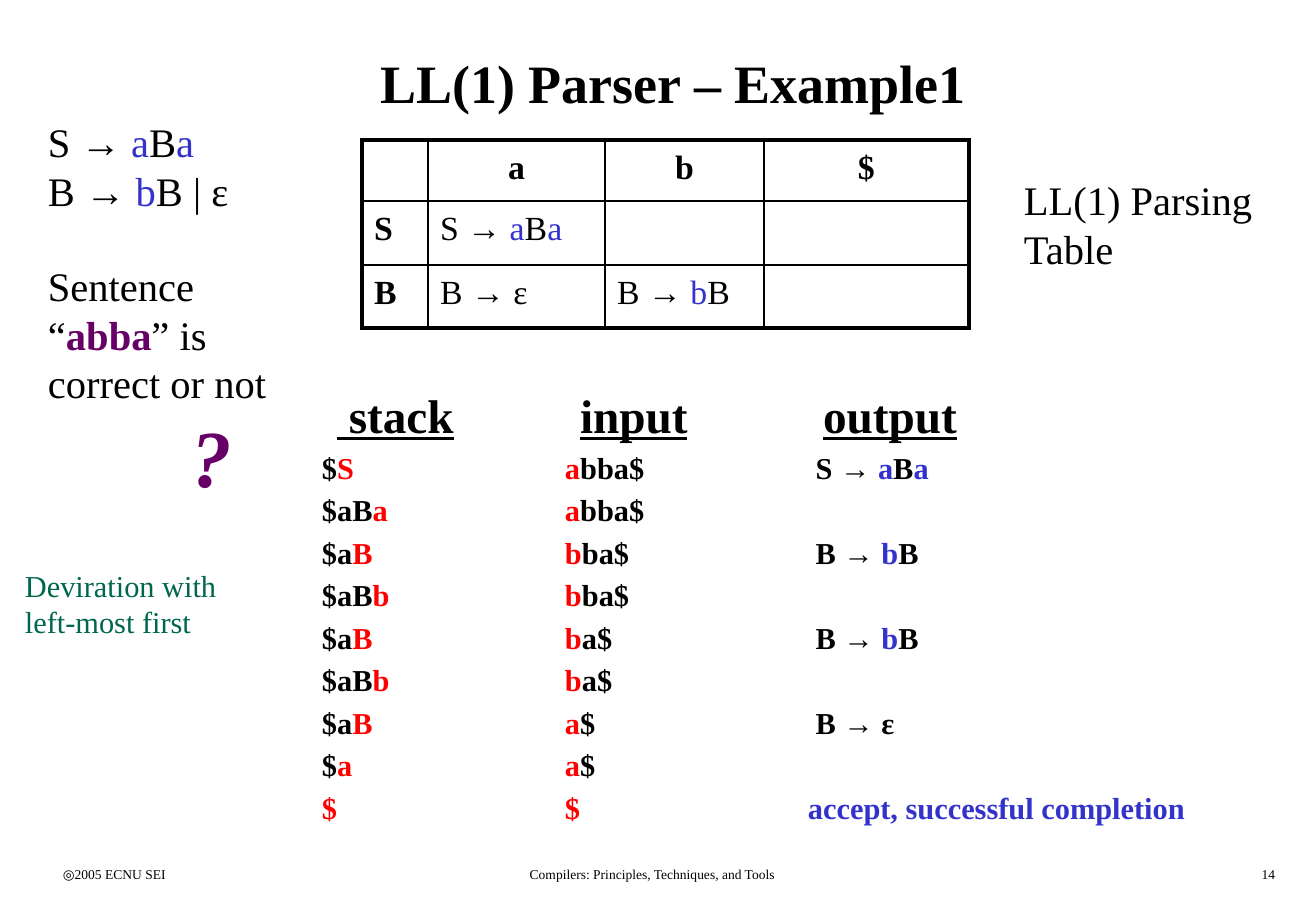
from itertools import groupby

from lxml import etree
from pptx import Presentation
from pptx.dml.color import RGBColor
from pptx.enum.text import MSO_ANCHOR, PP_ALIGN
from pptx.oxml.ns import qn
from pptx.util import Emu, Pt

LEFT, CENTER, RIGHT = PP_ALIGN.LEFT, PP_ALIGN.CENTER, PP_ALIGN.RIGHT
MIDDLE = MSO_ANCHOR.MIDDLE
SCALE = 914400 / 121.5
FONT = "Times New Roman"
LINE = 1.2
COLORS = {
    "black": "000000",
    "terminal": "3333CC",
    "active": "FF0000",
    "purple": "660066",
    "green": "00664D",
}
TABLE_COLS = [66, 177, 159, 205]
TABLE_ROWS = [61, 64, 63]
PARSING_TABLE = [
    ["", "a", "b", "$"],
    ["S", "S → aBa", "", ""],
    ["B", "B → ε", "B → bB", ""],
]
TRACE = [
    ("$", "S", "a", "bba$", "S → aBa"),
    ("$aB", "a", "a", "bba$", ""),
    ("$a", "B", "b", "ba$", "B → bB"),
    ("$aB", "b", "b", "ba$", ""),
    ("$a", "B", "b", "a$", "B → bB"),
    ("$aB", "b", "b", "a$", ""),
    ("$a", "B", "a", "$", "B → ε"),
    ("$", "a", "a", "$", ""),
]
COLUMN_START, COLUMN_STEP, HEADER_SHIFT = 274, 243, 15


def px(n):
    return Emu(round(n * SCALE))


def production(text):
    return [
        ("".join(chars), "terminal" if is_terminal else "black")
        for is_terminal, chars in groupby(text, lambda c: c in "ab")
    ]


def add_run(p, text, size, color="black", bold=False, italic=False, underline=False):
    r = p.add_run()
    r.text = text
    r.font.name = FONT
    r.font.size = Pt(size)
    r.font.bold = bold
    r.font.italic = italic
    r.font.underline = underline
    r.font.color.rgb = RGBColor.from_string(COLORS[color])


def fill_paragraph(p, runs, size, align=LEFT, bold=False):
    p.alignment = align
    p.line_spacing = Pt(size * LINE)
    for text, color, *style in runs:
        add_run(p, text, size, color, bold or "b" in style, "i" in style, "u" in style)


def next_paragraph(tf, index):
    return tf.add_paragraph() if index else tf.paragraphs[0]


def add_text(s, box, size, paragraphs, align=LEFT):
    tf = s.shapes.add_textbox(*map(px, box)).text_frame
    tf.word_wrap = True
    for i, runs in enumerate(paragraphs):
        fill_paragraph(next_paragraph(tf, i), runs, size, align)


def add_title(s, text):
    title = s.shapes.title
    title.left, title.top, title.width, title.height = map(px, (51, 21, 1245, 122))
    tf = title.text_frame
    tf.vertical_anchor = MIDDLE
    fill_paragraph(tf.paragraphs[0], [(text, "black")], 32, CENTER, True)


def set_border(cell, side, width):
    ln = etree.SubElement(cell._tc.get_or_add_tcPr(), qn("a:" + side), w=str(Pt(width)))
    fill = etree.SubElement(ln, qn("a:solidFill"))
    etree.SubElement(fill, qn("a:srgbClr"), val=COLORS["black"])


def add_parsing_table(s):
    n_rows, n_cols = len(TABLE_ROWS), len(TABLE_COLS)
    box = (362, 140, sum(TABLE_COLS), sum(TABLE_ROWS))
    table = s.shapes.add_table(n_rows, n_cols, *map(px, box)).table
    for column, width in zip(table.columns, TABLE_COLS):
        column.width = px(width)
    for row, height in zip(table.rows, TABLE_ROWS):
        row.height = px(height)
    for i, texts in enumerate(PARSING_TABLE):
        for j, text in enumerate(texts):
            cell = table.cell(i, j)
            outer = {
                "lnL": j == 0,
                "lnR": j == n_cols - 1,
                "lnT": i == 0,
                "lnB": i == n_rows - 1,
            }
            for side, is_outer in outer.items():
                set_border(cell, side, 2.25 if is_outer else 1)
            cell.fill.background()
            heading = i == 0 or j == 0
            if text:
                runs = [(text, "black")] if heading else production(text)
                align = CENTER if i == 0 else LEFT
                fill_paragraph(cell.text_frame.paragraphs[0], runs, 20, align, heading)


def set_tabs(p, shift):
    tabs = etree.SubElement(p._p.get_or_add_pPr(), qn("a:tabLst"))
    for i in range(3):
        pos = px(COLUMN_START + shift + COLUMN_STEP * i)
        etree.SubElement(tabs, qn("a:tab"), pos=str(pos), algn="l")


def add_trace(s):
    tf = s.shapes.add_textbox(*map(px, (36, 380, 1205, 468))).text_frame
    tf.word_wrap = True
    tab = ("\t", "black")
    header = []
    for name in (" stack", "input", "output"):
        header += [tab, (name, "black", "u")]
    p = tf.paragraphs[0]
    fill_paragraph(p, header, 28, bold=True)
    set_tabs(p, HEADER_SHIFT)

    rows = []
    for stack, top, head, rest, output in TRACE:
        runs = [("\t" + stack, "black"), (f"{top}\t{head}", "active"), (rest, "black")]
        if output:
            runs += [("\t ", "black")] + production(output)
        rows.append(runs)
    rows.append([("\t$\t$\t", "active"), ("accept, successful completion", "terminal")])
    for runs in rows:
        p = tf.add_paragraph()
        fill_paragraph(p, runs, 18, bold=True)
        p.space_before = Pt(3.6)
        set_tabs(p, 0)


def main():
    prs = Presentation()
    prs.slide_width, prs.slide_height = px(1316), px(911)
    s = prs.slides.add_slide(prs.slide_layouts[5])

    add_title(s, "LL(1) Parser – Example1")
    add_trace(s)
    add_parsing_table(s)

    add_text(s, (36, 111, 256, 109), 24, [production("S → aBa"), production("B → bB | ε")])
    add_text(s, (36, 255, 249, 158), 24, [
        [("Sentence “", "black"), ("abba", "purple", "b"), ("” is", "black")],
        [("correct or not", "black")],
    ])
    add_text(s, (180, 401, 67, 109), 48, [[("?", "purple", "b", "i")]])
    add_text(s, (1012, 169, 270, 109), 24, [[("LL(1) Parsing Table", "black")]])
    add_text(s, (13, 561, 230, 86), 18, [[("Deviration with left-most first", "green")]])

    for left, width, text, align in (
        (51, 275, "◎2005 ECNU SEI", LEFT),
        (406, 493, "Compilers: Principles, Techniques, and Tools", CENTER),
        (1012, 275, "14", RIGHT),
    ):
        add_text(s, (left, 860, width, 30), 8, [[(text, "black")]], align)

    prs.save("out.pptx")


if __name__ == "__main__":
    main()
